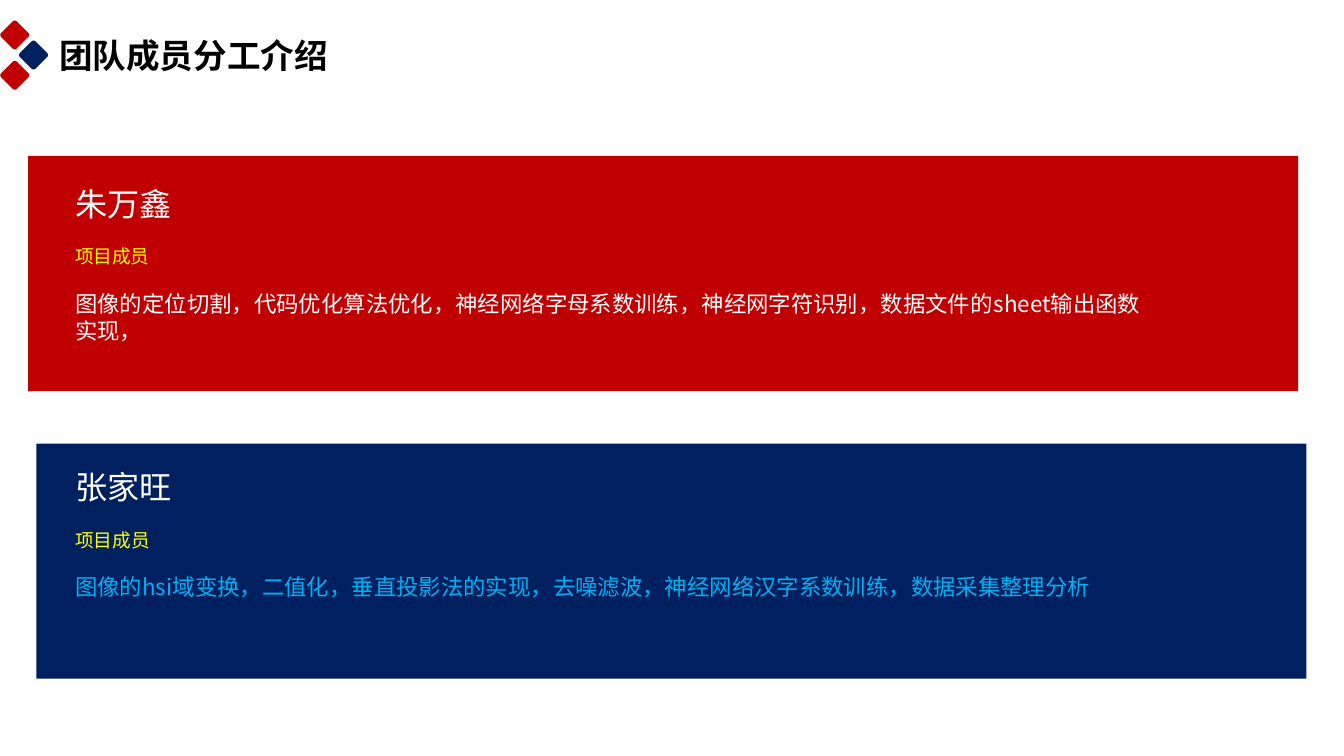
from lxml import etree
from pptx import Presentation
from pptx.dml.color import RGBColor
from pptx.enum.shapes import MSO_SHAPE
from pptx.oxml.ns import qn
from pptx.util import Inches, Pt

RED = RGBColor(0xC0, 0x00, 0x00)
NAVY = RGBColor(0x00, 0x20, 0x60)
WHITE = RGBColor(0xFF, 0xFF, 0xFF)
BLACK = RGBColor(0x00, 0x00, 0x00)
YELLOW = RGBColor(0xFF, 0xFF, 0x00)
SKY = RGBColor(0x00, 0xB0, 0xF0)
FONT = "Noto Sans CJK SC"

# Top corner of a rounded diamond, in thousandths of an inch from its centre
DIAMOND_CORNER = [(-14, -102), (-6, -107), (6, -107), (14, -102)]


def add_text_box(slide, left, top, width, height, margins=(0, 0)):
    frame = slide.shapes.add_textbox(
        Inches(left), Inches(top), Inches(width), Inches(height)).text_frame
    frame.word_wrap = True
    frame.margin_left = frame.margin_right = Inches(margins[0])
    frame.margin_top = frame.margin_bottom = Inches(margins[1])
    return frame


def write(paragraph, text, *, size, color, bold=False, space_before=None):
    if space_before:
        paragraph.space_before = Pt(space_before)
    run = paragraph.add_run()
    run.text = text
    font = run.font
    font.name, font.size, font.bold = FONT, Pt(size), bold
    font.color.rgb = color
    east_asian = etree.SubElement(run._r.get_or_add_rPr(), qn("a:ea"))
    east_asian.set("typeface", FONT)


def paint(shape, color):
    shape.shadow.inherit = False
    shape.fill.solid()
    shape.fill.fore_color.rgb = color
    shape.line.fill.background()


def add_diamond(slide, center_x, center_y, color):
    points = []
    corner = DIAMOND_CORNER
    for _ in range(4):
        points += corner
        corner = [(-y, x) for x, y in corner]
    builder = slide.shapes.build_freeform(*points[0], scale=Inches(1) / 1000)
    builder.add_line_segments(points[1:], close=True)
    paint(builder.convert_to_shape(Inches(center_x), Inches(center_y)), color)


def add_heading(slide, left, top, title):
    for dx, dy, color in [(0.11, 0.11, RED), (0.25, 0.26, NAVY), (0.11, 0.41, RED)]:
        add_diamond(slide, left + dx, top + dy, color)
    frame = add_text_box(slide, left + 0.36, top + 0.07, 2.65, 0.38, (0.08, 0.04))
    write(frame.paragraphs[0], title, size=18, color=BLACK, bold=True)


def add_member_card(slide, left, top, text_box, name, duties, fill, duties_color):
    """Draw a member's panel; text_box is offset and size relative to the panel."""
    panel = slide.shapes.add_shape(
        MSO_SHAPE.RECTANGLE, Inches(left), Inches(top), Inches(9.45), Inches(1.75))
    paint(panel, fill)
    dx, dy, width, height = text_box
    frame = add_text_box(slide, left + dx, top + dy, width, height)
    write(frame.paragraphs[0], name, size=17.2, color=WHITE)
    write(frame.add_paragraph(), "项目成员", size=10, color=YELLOW, space_before=12)
    write(frame.add_paragraph(), duties, size=12, color=duties_color, space_before=12)


def main():
    presentation = Presentation()
    presentation.slide_width = Inches(10)
    presentation.slide_height = Inches(10) * 9 // 16
    slide = presentation.slides.add_slide(presentation.slide_layouts[6])

    add_heading(slide, 0, 0.15, "团队成员分工介绍")
    add_member_card(
        slide, 0.21, 1.16, (0.35, 0.21, 8.03, 1.45), "朱万鑫",
        "图像的定位切割，代码优化算法优化，神经网络字母系数训练，"
        "神经网字符识别，数据文件的sheet输出函数实现，", RED, WHITE)
    add_member_card(
        slide, 0.27, 3.3, (0.29, 0.18, 8.38, 1.1), "张家旺",
        "图像的hsi域变换，二值化，垂直投影法的实现，去噪滤波，"
        "神经网络汉字系数训练，数据采集整理分析", NAVY, SKY)

    presentation.save("out.pptx")


if __name__ == "__main__":
    main()
